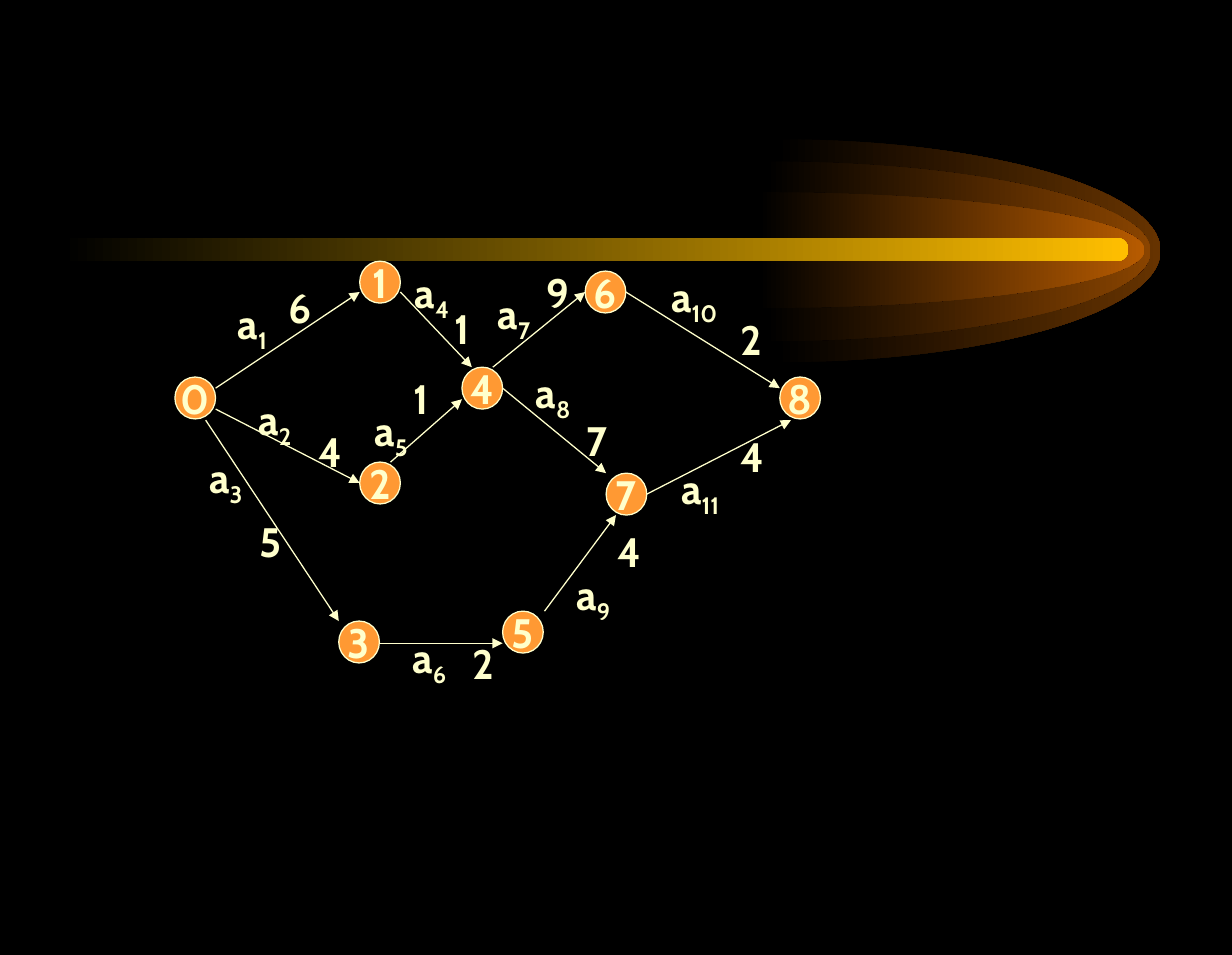
from lxml import etree
from pptx import Presentation
from pptx.dml.color import RGBColor
from pptx.enum.shapes import MSO_CONNECTOR, MSO_SHAPE
from pptx.enum.text import MSO_ANCHOR, MSO_AUTO_SIZE, PP_ALIGN
from pptx.oxml.ns import qn
from pptx.util import Inches, Pt

STRAIGHT = MSO_CONNECTOR.STRAIGHT
OVAL = MSO_SHAPE.OVAL
ROUNDED = MSO_SHAPE.ROUNDED_RECTANGLE
MIDDLE = MSO_ANCHOR.MIDDLE
GROW = MSO_AUTO_SIZE.SHAPE_TO_FIT_TEXT
CENTER = PP_ALIGN.CENTER
LEFT = PP_ALIGN.LEFT

COLORS = {
    "background": "000000",
    "ink": "FFFFCC",
    "node": "FF9933",
    "outer": "663300",
    "middle": "894400",
    "inner": "B75B00",
    "beam": "FFBF00",
}
FONT = "Cabin"
NODE_SIZE = (0.33, 0.34)
WEIGHT_SIZE = (0.39, 0.5)
GLOW_WIDTH = 3.13
ROUNDNESS = 0.55

GLOWS = [
    ("outer", 6.29, 1.13, 1.81),
    ("middle", 6.21, 1.31, 1.46),
    ("inner", 6.16, 1.56, 0.94),
]
NODES = {
    "5": (4.08, 4.96), "3": (2.75, 5.04), "7": (4.92, 3.84),
    "2": (2.92, 3.75), "0": (1.42, 3.06), "4": (3.75, 2.98),
    "8": (6.33, 3.06), "1": (2.92, 2.12), "6": (4.75, 2.2),
}
ARROWS = [
    ((1.75, 3.15), (2.92, 2.37)),
    ((1.67, 3.41), (2.75, 5.04)),
    ((3.08, 5.22), (4.08, 5.22)),
    ((1.75, 3.32), (2.92, 3.92)),
    ((4.42, 4.96), (5, 4.18)),
    ((3.17, 3.75), (3.75, 3.24)),
    ((3.25, 2.37), (3.83, 2.98)),
    ((4.08, 3.15), (4.92, 3.84)),
    ((4, 2.98), (4.75, 2.37)),
    ((5.08, 2.37), (6.33, 3.15)),
    ((5.25, 4.01), (6.42, 3.41)),
]
ACTIVITIES = [
    ("1", (1.83, 2.37), "6", (2.24, 2.24)),
    ("4", (3.27, 2.12), "1", (3.59, 2.41)),
    ("2", (2, 3.15), "4", (2.49, 3.41)),
    ("5", (2.94, 3.24), "1", (3.26, 2.98)),
    ("3", (1.6, 3.62), "5", (2.01, 4.14)),
    ("6", (3.25, 5.08), "2", (3.74, 5.13)),
    ("9", (4.58, 4.57), "4", (4.91, 4.22)),
    ("8", (4.25, 2.93), "7", (4.66, 3.32)),
    ("11", (5.43, 3.71), "4", (5.91, 3.45)),
    ("7", (3.94, 2.29), "9", (4.34, 2.12)),
    ("10", (5.35, 2.15), "2", (5.91, 2.5)),
]


def color(name):
    return RGBColor.from_string(COLORS[name])


def inches(*values):
    return [Inches(value) for value in values]


def write(shape, text, subscript="", align=LEFT):
    shape.text_frame.word_wrap = False
    para = shape.text_frame.paragraphs[0]
    para.alignment = align
    for part, offset in ((text, 0), (subscript, -25000)):
        if not part:
            continue
        span = para.add_run()
        span.text = part
        span.font.name = FONT
        span.font.size = Pt(24)
        span.font.bold = True
        span.font.color.rgb = color("ink")
        if offset:
            span._r.get_or_add_rPr().set("baseline", str(offset))


def fade(shape, name):
    shape.shadow.inherit = False
    shape.line.fill.background()
    shape.fill.gradient()
    shape.fill.gradient_angle = 0
    for stop, position, key in zip(shape.fill.gradient_stops, (0, 1), ("background", name)):
        stop.position = position
        stop.color.rgb = color(key)


def add_glow(page, name, left, top, height):
    radius = height / 2
    right, center, bottom = left + GLOW_WIDTH, top + radius, top + height
    builder = page.shapes.build_freeform(*inches(left, top))
    corners = [(right, center), (left, bottom), (left, center)]
    builder.add_line_segments([inches(*corner) for corner in corners], close=True)
    glow = builder.convert_to_shape()

    reach, bend = GLOW_WIDTH * ROUNDNESS, radius * ROUNDNESS
    curves = [
        [(reach, 0), (GLOW_WIDTH, radius - bend)],
        [(GLOW_WIDTH, radius + bend), (reach, height)],
    ]
    sides = list(glow._element.iter(qn("a:lnTo")))
    for side, handles in zip(sides, curves):
        side.tag = qn("a:cubicBezTo")
        for index, handle in enumerate(handles):
            x, y = inches(*handle)
            side.insert(index, side.makeelement(qn("a:pt"), {"x": str(x), "y": str(y)}))
    fade(glow, name)


def add_node(page, text, position):
    node = page.shapes.add_shape(OVAL, *inches(*position, *NODE_SIZE))
    node.shadow.inherit = False
    node.fill.solid()
    node.fill.fore_color.rgb = color("node")
    node.line.color.rgb = color("ink")
    node.line.width = Pt(0.75)
    node.text_frame.vertical_anchor = MIDDLE
    write(node, text, align=CENTER)


def add_arrow(page, start, end):
    arrow = page.shapes.add_connector(STRAIGHT, *inches(*start, *end))
    arrow.line.color.rgb = color("ink")
    arrow.line.width = Pt(0.75)
    etree.SubElement(arrow.line._get_or_add_ln(), qn("a:tailEnd"), type="triangle")
    etree.SubElement(arrow._element.spPr, qn("a:effectLst"))


def add_label(page, text, position, size, subscript=""):
    box = page.shapes.add_textbox(*inches(*position, *size))
    write(box, text, subscript)
    box.text_frame.auto_size = GROW


def main():
    deck = Presentation()
    deck.slide_width, deck.slide_height = inches(10, 7.75)
    page = deck.slides.add_slide(deck.slide_layouts[6])
    page.background.fill.solid()
    page.background.fill.fore_color.rgb = color("background")

    for glow in GLOWS:
        add_glow(page, *glow)
    beam = page.shapes.add_shape(ROUNDED, *inches(0.5, 1.93, 8.66, 0.19))
    beam.adjustments[0] = 0.5
    fade(beam, "beam")

    for text, position in NODES.items():
        add_node(page, text, position)
    for start, end in ARROWS:
        add_arrow(page, start, end)
    for number, name_position, weight, weight_position in ACTIVITIES:
        name_width = 0.4 + 0.11 * len(number)
        add_label(page, "a", name_position, (name_width, 0.56), number)
        add_label(page, weight, weight_position, WEIGHT_SIZE)
    deck.save("out.pptx")


if __name__ == "__main__":
    main()
